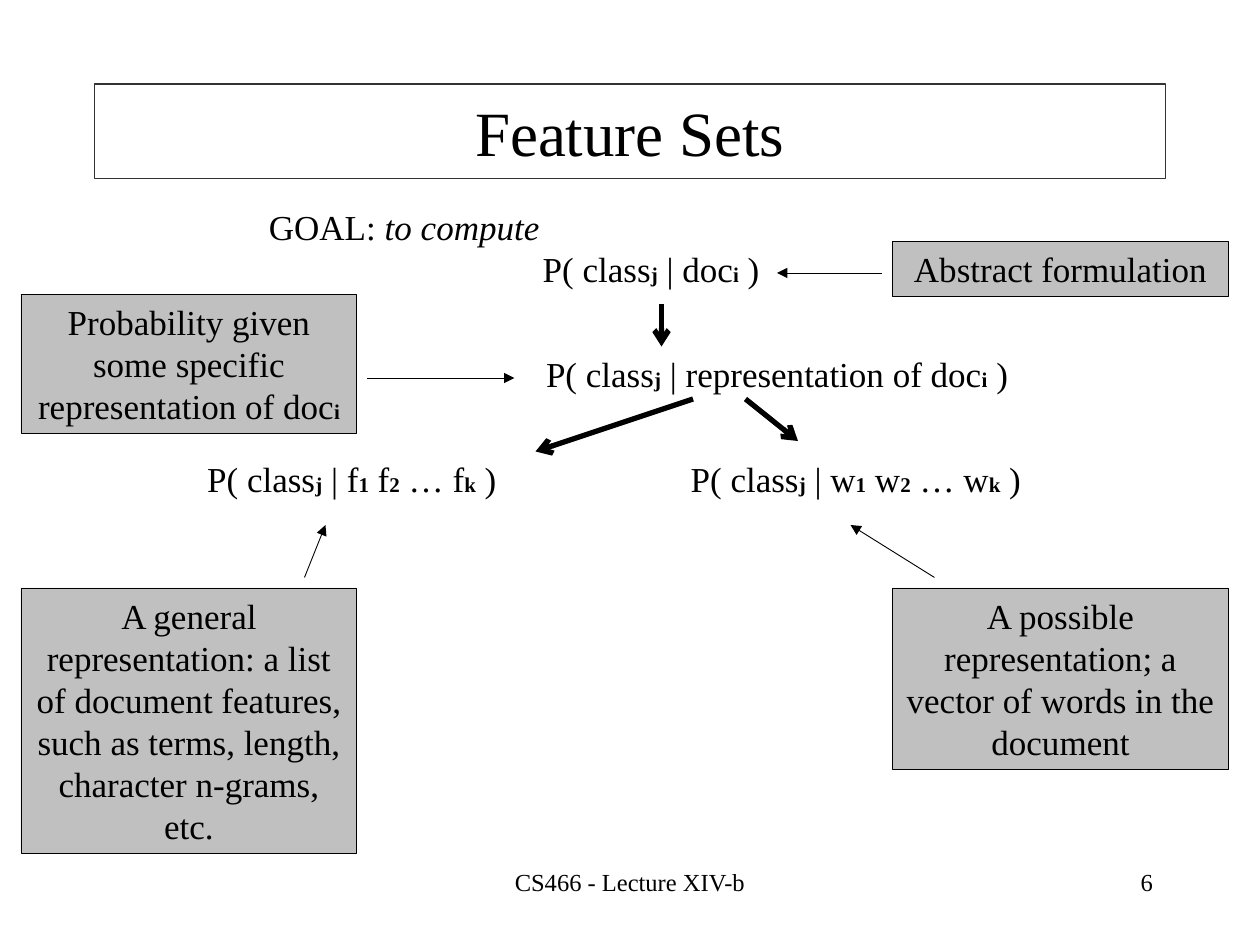
"""Build the Feature Sets slide: class probabilities under different document representations."""
from dataclasses import dataclass

from lxml import etree
from pptx import Presentation
from pptx.dml.color import RGBColor
from pptx.enum.shapes import MSO_CONNECTOR, MSO_SHAPE
from pptx.enum.text import MSO_ANCHOR, MSO_AUTO_SIZE, PP_ALIGN
from pptx.oxml.ns import qn
from pptx.util import Pt

PX = 9525
LINE = MSO_CONNECTOR.STRAIGHT
RECT = MSO_SHAPE.RECTANGLE
TOP, MIDDLE = MSO_ANCHOR.TOP, MSO_ANCHOR.MIDDLE
GROW, FIXED = MSO_AUTO_SIZE.SHAPE_TO_FIT_TEXT, MSO_AUTO_SIZE.NONE
CENTER, RIGHT = PP_ALIGN.CENTER, PP_ALIGN.RIGHT


@dataclass(frozen=True)
class Theme:
    """Colours, font and type sizes of the slide."""
    font: str = "Times New Roman"
    ink: RGBColor = RGBColor(0, 0, 0)
    frame: RGBColor = RGBColor(0x33, 0x33, 0x33)
    note: RGBColor = RGBColor(0xC0, 0xC0, 0xC0)
    title: int = 36
    body: int = 20
    index: int = 12
    footer: int = 14


@dataclass(frozen=True)
class Run:
    """A stretch of text in one style."""
    text: str
    size: int
    bold: bool = False
    italic: bool = False


@dataclass(frozen=True)
class Box:
    """A text box or a filled note, in px."""
    x: int
    y: int
    w: int
    h: int
    runs: list[Run]
    filled: bool = False
    before: float = 12.5
    align: PP_ALIGN = CENTER
    grow: bool = True


@dataclass(frozen=True)
class Arrow:
    """A line with a head at its end, in px."""
    x1: int
    y1: int
    x2: int
    y2: int
    width: float = 0.5
    head: str = "triangle"


T = Theme()
COLUMN_LEFT, COLUMN_RIGHT, NOTE_W, ROW_H = 16, 680, 256, 42
FLOW = (3, "arrow")


def indexed(text: str) -> list[Run]:
    """Split text at underscores, every second part being a small bold index."""
    return [Run(part, T.index if i % 2 else T.body, bold=bool(i % 2))
            for i, part in enumerate(text.split("_")) if part]


BOXES = [
    Box(160, 152, 296, ROW_H, [Run("GOAL: ", T.body), Run("to compute", T.body, italic=True)]),
    Box(384, 184, 224, ROW_H, indexed("P( class_j_ | doc_i_ )")),
    Box(392, 264, 400, ROW_H, indexed("P( class_j_ | representation of doc_i_ )")),
    Box(472, 344, 360, ROW_H, indexed("P( class_j_ | w_1_ w_2_ … w_k_ )")),
    Box(88, 344, 360, ROW_H, indexed("P( class_j_ | f_1_ f_2_ … f_k_ )")),
    Box(COLUMN_RIGHT, 184, NOTE_W, ROW_H, indexed("Abstract formulation"), True),
    Box(COLUMN_LEFT, 448, NOTE_W, 202, indexed(
        "A general representation: a list of document features, "
        "such as terms, length, character n-grams, etc."), True),
    Box(COLUMN_RIGHT, 448, NOTE_W, 138, indexed(
        "A possible representation; a vector of words in the document"), True),
    Box(COLUMN_LEFT, 224, NOTE_W, 106, indexed(
        "Probability given some specific representation of doc_i"), True, 7.5),
    Box(328, 656, 304, 48, [Run("CS466 - Lecture XIV-b", T.footer)], before=0, grow=False),
    Box(688, 656, 200, 48, [Run("6", T.footer)], before=0, align=RIGHT, grow=False),
]

ARROWS = [
    Arrow(504, 232, 504, 264, *FLOW),
    Arrow(528, 304, 408, 344, *FLOW),
    Arrow(568, 304, 608, 336, *FLOW),
    Arrow(280, 288, 392, 288),
    Arrow(672, 208, 592, 208),
    Arrow(232, 440, 248, 400),
    Arrow(712, 440, 648, 400),
]


def px(*lengths: int) -> list[int]:
    """Turn px into EMU."""
    return [n * PX for n in lengths]


def write(tf, runs: list[Run], align: PP_ALIGN, before: float) -> None:
    """Fill the first paragraph of a text frame run by run."""
    tf.word_wrap = True
    p = tf.paragraphs[0]
    p.alignment = align
    p.space_before = Pt(before)
    for run in runs:
        r = p.add_run()
        r.text = run.text
        r.font.name = T.font
        r.font.size = Pt(run.size)
        r.font.bold = run.bold
        r.font.italic = run.italic
        r.font.color.rgb = T.ink


def draw_title(s, text: str) -> None:
    """Place the framed title."""
    sp = s.shapes.title
    sp.left, sp.top, sp.width, sp.height = px(72, 64, 816, 72)
    sp.line.color.rgb = T.frame
    sp.line.width = Pt(0.75)
    sp.text_frame.vertical_anchor = MIDDLE
    write(sp.text_frame, [Run(text, T.title)], CENTER, 0)


def draw_box(s, box: Box) -> None:
    """Draw a text box, or a grey outlined rectangle if filled."""
    area = px(box.x, box.y, box.w, box.h)
    if box.filled:
        sp = s.shapes.add_shape(RECT, *area)
        sp.shadow.inherit = False
        sp.fill.solid()
        sp.fill.fore_color.rgb = T.note
        sp.line.color.rgb = T.ink
        sp.line.width = Pt(0.5)
    else:
        sp = s.shapes.add_textbox(*area)
    tf = sp.text_frame
    tf.vertical_anchor = TOP
    tf.auto_size = GROW if box.grow else FIXED
    write(tf, box.runs, box.align, box.before)


def draw_arrow(s, arrow: Arrow) -> None:
    """Draw a connector with an arrowhead and no shadow."""
    sp = s.shapes.add_connector(LINE, *px(arrow.x1, arrow.y1, arrow.x2, arrow.y2))
    sp.line.color.rgb = T.ink
    sp.line.width = Pt(arrow.width)
    etree.SubElement(sp.line._get_or_add_ln(), qn("a:tailEnd"), type=arrow.head)
    etree.SubElement(sp._element.spPr, qn("a:effectLst"))


def main() -> None:
    """Build and save the slide."""
    prs = Presentation()
    prs.slide_width, prs.slide_height = px(960, 720)
    s = prs.slides.add_slide(prs.slide_layouts[5])
    draw_title(s, "Feature Sets")
    for box in BOXES:
        draw_box(s, box)
    for arrow in ARROWS:
        draw_arrow(s, arrow)
    prs.save("out.pptx")


if __name__ == "__main__":
    main()
